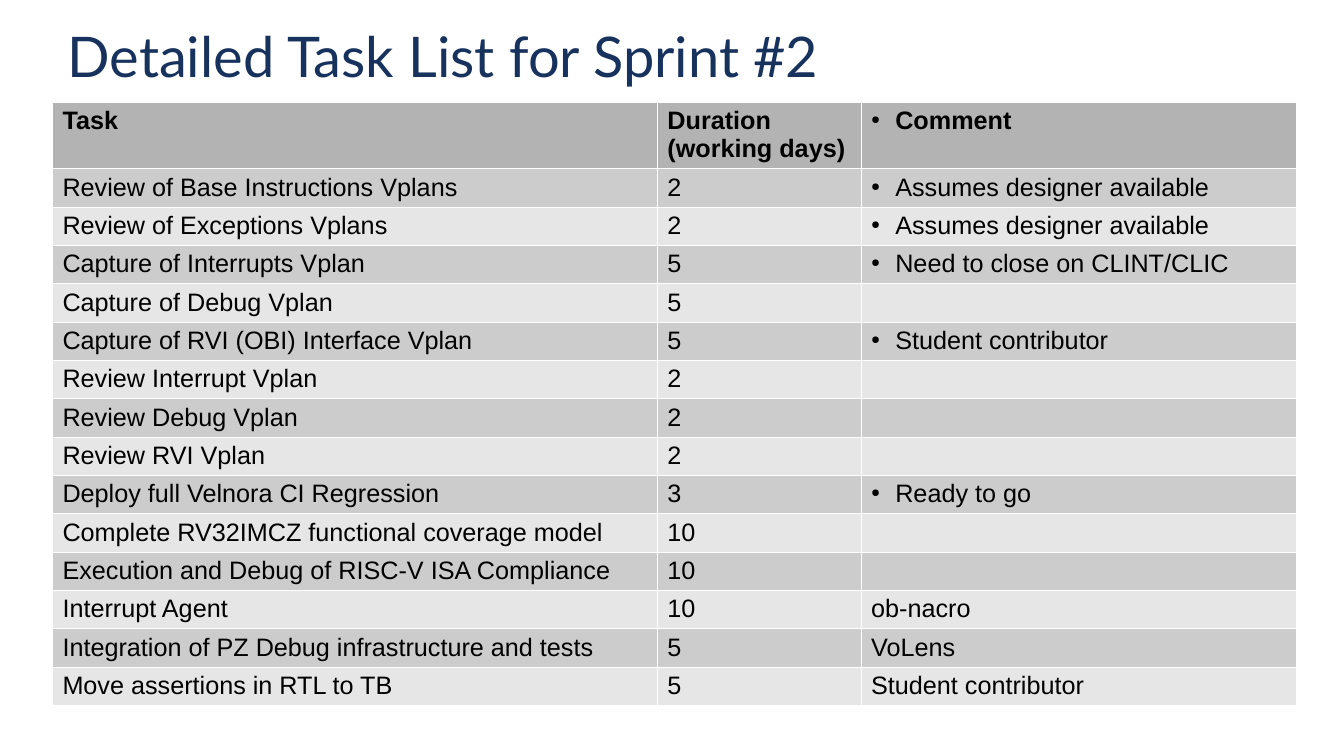
from lxml import etree
from pptx import Presentation
from pptx import util as u
from pptx.dml.color import RGBColor
from pptx.enum import text
from pptx.oxml import ns


def color(hex_code):
    return RGBColor.from_string(hex_code)


def add_xml(parent, tag, **attributes):
    return etree.SubElement(parent, ns.qn(tag), attributes)


tasks = [
    ("Task", "Duration\v(working days)", "• Comment"),
    ("Review of Base Instructions Vplans", "2", "• Assumes designer available"),
    ("Review of Exceptions Vplans", "2", "• Assumes designer available"),
    ("Capture of Interrupts Vplan", "5", "• Need to close on CLINT/CLIC"),
    ("Capture of Debug Vplan", "5", ""),
    ("Capture of RVI (OBI) Interface Vplan", "5", "• Student contributor"),
    ("Review Interrupt Vplan", "2", ""),
    ("Review Debug Vplan", "2", ""),
    ("Review RVI Vplan", "2", ""),
    ("Deploy full Velnora CI Regression", "3", "• Ready to go"),
    ("Complete RV32IMCZ functional coverage model", "10", ""),
    ("Execution and Debug of RISC-V ISA Compliance", "10", ""),
    ("Interrupt Agent", "10", "ob-nacro"),
    ("Integration of PZ Debug infrastructure and tests", "5", "VoLens"),
    ("Move assertions in RTL to TB", "5", "Student contributor"),
]
column_widths = [6, 2.02, 4.31]
header_height, task_height = 0.66, 0.38

deck = Presentation()
deck.slide_width, deck.slide_height = u.Inches(13.33), u.Inches(7.5)
slide = deck.slides.add_slide(deck.slide_layouts[5])

title = slide.shapes.title
title.left, title.top = u.Inches(0.67), u.Inches(0.3)
title.width, title.height = u.Inches(12), u.Inches(0.58)
heading = title.text_frame
heading.text = "Detailed Task List for Sprint #2"
heading.margin_left = heading.margin_right = 0
heading.margin_top = heading.margin_bottom = 0
heading.vertical_anchor = text.MSO_ANCHOR.MIDDLE
heading.auto_size = text.MSO_AUTO_SIZE.NONE
line = heading.paragraphs[0]
line.alignment = text.PP_ALIGN.LEFT
line.line_spacing = 0.9
line.font.name, line.font.size = "Lato", u.Pt(40)
line.font.color.rgb = color("17325D")

task_list = slide.shapes.add_table(
    len(tasks), len(column_widths), u.Inches(0.52), u.Inches(1.01),
    u.Inches(sum(column_widths)),
    u.Inches(header_height + task_height * (len(tasks) - 1))).table
for column, width in zip(task_list.columns, column_widths):
    column.width = u.Inches(width)

for number, entries in enumerate(tasks):
    is_header = number == 0
    task_list.rows[number].height = u.Inches(header_height if is_header else task_height)
    band = "B3B3B3" if is_header else ("E6E6E6", "CCCCCC")[number % 2]
    for position, entry in enumerate(entries):
        cell = task_list.cell(number, position)
        cell.text = entry.removeprefix("• ")
        cell.margin_left = cell.margin_right = u.Inches(0.1)
        cell.margin_top = cell.margin_bottom = u.Inches(0.05 if entry else 0)

        paragraph = cell.text_frame.paragraphs[0]
        properties = paragraph._p.get_or_add_pPr()
        if entry.startswith("•"):
            properties.set("marL", str(u.Inches(0.24)))
            properties.set("indent", str(-u.Inches(0.24)))
            add_xml(add_xml(properties, "a:buClr"), "a:srgbClr", val="000000")
            add_xml(properties, "a:buSzPct", val="45000")
            add_xml(properties, "a:buChar", char="●")
        paragraph.font.name, paragraph.font.size = "Arial", u.Pt(18)
        paragraph.font.bold = is_header
        paragraph.font.color.rgb = color("000000")

        for side in ("a:lnL", "a:lnR", "a:lnT", "a:lnB"):
            border = add_xml(cell._tc.get_or_add_tcPr(), side, w=str(u.Pt(0.06)))
            add_xml(add_xml(border, "a:solidFill"), "a:srgbClr", val="FFFFFF")
        cell.fill.solid()
        cell.fill.fore_color.rgb = color(band)

deck.save("out.pptx")
